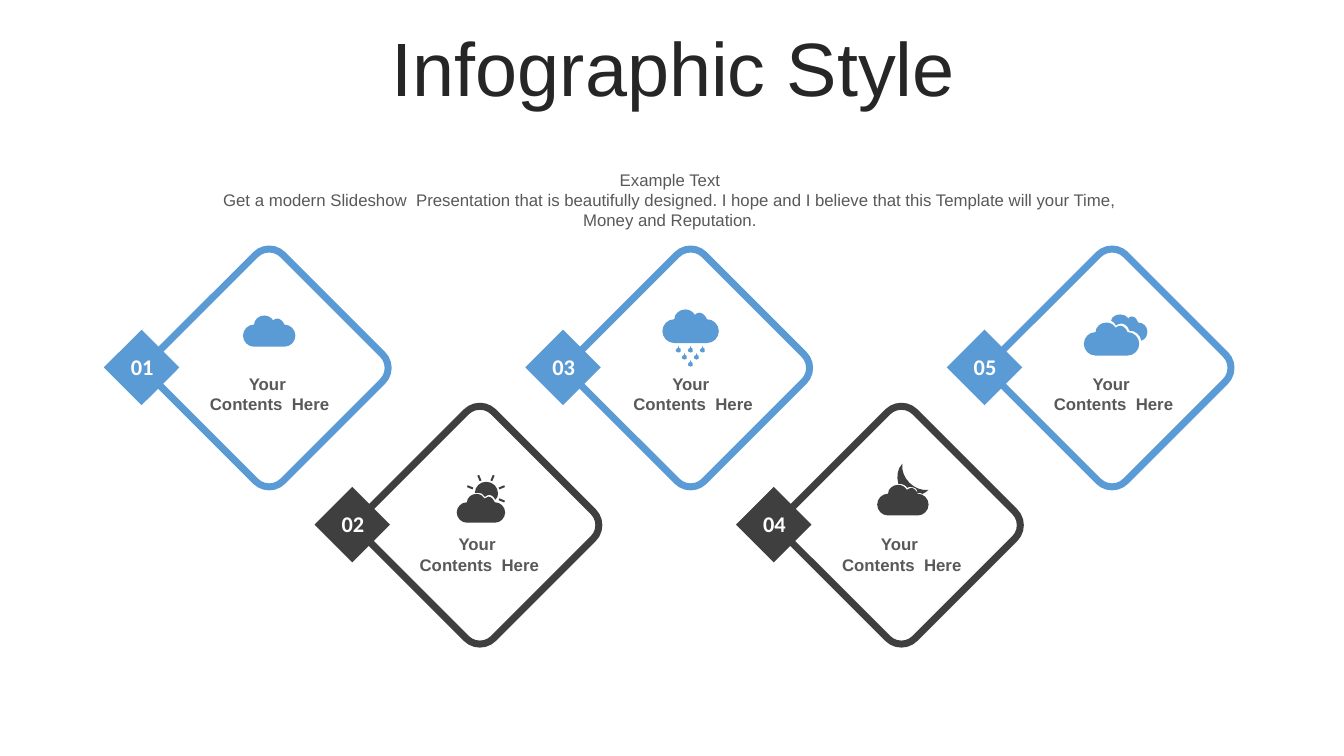
"""Build an infographic slide with five numbered weather diamonds."""
from dataclasses import dataclass
from math import cos, radians, sin

from lxml.etree import SubElement
from pptx import Presentation
from pptx.dml.color import RGBColor
from pptx.enum.shapes import MSO_SHAPE
from pptx.enum.text import MSO_ANCHOR, MSO_AUTO_SIZE, PP_ALIGN
from pptx.oxml.ns import qn
from pptx.shapes.autoshape import Shape
from pptx.slide import Slide
from pptx.util import Emu, Pt

PX = 9144
COLORS = {"blue": "5B9BD5", "dark": "3F3F3F", "white": "FFFFFF",
          "title": "262626", "gray": "595959"}
FORMATS = {
    "title": {"name": "Arial", "size": Pt(54), "bold": False},
    "number": {"name": "Calibri", "size": Pt(16), "bold": True},
    "label": {"name": "Arial", "size": Pt(12), "bold": True},
    "intro": {"name": "Arial", "size": Pt(12), "bold": False},
}
INTRO = ["Example Text",
         "Get a modern Slideshow  Presentation that is beautifully designed. "
         "I hope and I believe that this Template will your Time, "
         "Money and Reputation."]
LABEL = ["Your ", "Contents  Here"]

Point = tuple[float, float]
Path = list[Point]

CLOUD: Path = [
    (21, 0), (25, 0), (28, 2), (30, 5), (31, 4), (32, 3), (34, 3),
    (37, 3), (40, 6), (41, 9), (47, 9), (52, 14), (52, 20),
    (52, 26), (47, 31), (41, 31), (31, 31), (21, 31), (11, 31),
    (5, 31), (0, 26), (0, 20), (0, 14), (5, 9), (11, 9),
    (11, 4), (16, 0), (21, 0)]
DROP: Path = [
    (0, 0), (0, 2), (1, 3), (2, 3), (2, 4), (2, 6), (2, 6),
    (1, 7), (-1, 7), (-2, 6), (-3, 6), (-3, 4), (-2, 3),
    (-1, 3), (0, 2), (0, 0)]
REAR: Path = [
    (1111, 312), (1114, 312), (1117, 313), (1119, 316),
    (1120, 315), (1121, 314), (1122, 314), (1126, 314), (1128, 317),
    (1129, 320), (1134, 320), (1138, 324), (1138, 329),
    (1138, 333), (1136, 337), (1132, 338), (1131, 332), (1126, 328),
    (1120, 328), (1119, 324), (1116, 321), (1112, 321),
    (1110, 321), (1108, 322), (1107, 323), (1106, 321), (1104, 319),
    (1102, 318), (1103, 314), (1107, 312), (1111, 312)]
SUN: Path = [
    (482, 478), (489, 478), (494, 483), (494, 490),
    (494, 492), (493, 495), (491, 496), (491, 494), (488, 491),
    (485, 491), (484, 491), (482, 492), (481, 493), (480, 490),
    (477, 489), (473, 489), (472, 489), (472, 489), (471, 489),
    (471, 483), (476, 478), (482, 478)]
MOON: Path = [
    (895, 460), (894, 467), (897, 474), (902, 479), (907, 484),
    (914, 487), (921, 486), (919, 488), (917, 489), (915, 490),
    (914, 489), (912, 489), (910, 489), (910, 485), (907, 483),
    (904, 483), (902, 483), (901, 483), (900, 484), (898, 481),
    (895, 480), (891, 480), (889, 473), (890, 465), (895, 460)]


@dataclass(frozen=True)
class Box:
    """Place and size in px."""
    x: int
    y: int
    w: int
    h: int


@dataclass(frozen=True)
class Card:
    """One numbered diamond with its label and icon."""
    color: str
    label: Point
    icon: list[Path]


def place(nodes: Path, x: float, y: float, zoom: float = 1) -> Path:
    """Scale and move a unit path."""
    return [(x + zoom * a, y + zoom * b) for a, b in nodes]


def cloud(x: int, y: int, wide: int) -> Path:
    """Return a cloud of the given width."""
    return place(CLOUD, x, y, wide / 52)


def ray(turn: float) -> Path:
    """Return one beam of the sun at an angle in degrees."""
    c, s = cos(radians(turn)), sin(radians(turn))
    ends = ((14, -1), (20, -1), (20, 1), (14, 1))
    return [(482 + c * a - s * b, 490 + s * a + c * b) for a, b in ends]


def paint(shape: Shape, fill: str = "", line: str = "") -> None:
    """Set fill, line and shadow of a shape."""
    shape.shadow.inherit = False
    for part, key in ((shape.fill, fill), (shape.line.fill, line)):
        if key:
            part.solid()
            part.fore_color.rgb = RGBColor.from_string(COLORS[key])
        else:
            part.background()


def frame(box: Box) -> list[Emu]:
    """Give a box in EMU."""
    return [Emu(n * PX) for n in (box.x, box.y, box.w, box.h)]


def write(shape: Shape, lines: list[str], style: str, color: str,
          anchor: MSO_ANCHOR = MSO_ANCHOR.TOP) -> None:
    """Fill a shape with centred lines of text."""
    text = shape.text_frame
    for key, value in {"word_wrap": True, "vertical_anchor": anchor,
                       "auto_size": MSO_AUTO_SIZE.NONE}.items():
        setattr(text, key, value)
    text.text = "\n".join(lines)
    for para in text.paragraphs:
        para.alignment = PP_ALIGN.CENTER
        for run in para.runs:
            for key, value in FORMATS[style].items():
                setattr(run.font, key, value)
            run.font.color.rgb = RGBColor.from_string(COLORS[color])


def bend(shape: Shape) -> None:
    """Turn each outline of more than four nodes into cubic curves."""
    root = next(shape.element.iter(qn("a:path")))
    group = []
    for item in list(root):
        if item.tag == qn("a:lnTo"):
            group.append(item)
            continue
        if len(group) > 3:
            for i in range(0, len(group), 3):
                curve = SubElement(root, qn("a:cubicBezTo"))
                item.addprevious(curve)
                for node in group[i:i + 3]:
                    curve.append(node[0])
                    root.remove(node)
        group = []


def draw(slide: Slide, paths: list[Path], color: str) -> None:
    """Draw an icon as one outline shape."""
    scaled = [[(x * PX, y * PX) for x, y in path] for path in paths]
    pen = slide.shapes.build_freeform(*scaled[0][0])
    for i, path in enumerate(scaled):
        if i:
            pen.move_to(*path[0])
        pen.add_line_segments(path[1:], close=True)
    shape = pen.convert_to_shape()
    bend(shape)
    paint(shape, fill=color)


def add_card(slide: Slide, rank: int, card: Card) -> None:
    """Draw the card at its place in the zigzag row."""
    x, y = 178 + 209 * rank, 276 + 156 * (rank % 2)
    ring = slide.shapes.add_shape(MSO_SHAPE.ROUNDED_RECTANGLE,
                                  *frame(Box(x, y, 178, 178)))
    ring.adjustments[0] = 0.107
    paint(ring, line=card.color)
    ring.line.width = Pt(5)
    badge = slide.shapes.add_shape(MSO_SHAPE.RECTANGLE,
                                   *frame(Box(x - 64, y + 62, 53, 53)))
    paint(badge, fill=card.color)
    ring.rotation = badge.rotation = 315
    number = slide.shapes.add_textbox(*frame(Box(x - 63, y + 69, 52, 37)))
    write(number, [f"{rank + 1:02}"], "number", "white", MSO_ANCHOR.MIDDLE)
    label = slide.shapes.add_textbox(*frame(Box(*card.label, 163, 50)))
    write(label, LABEL, "label", "gray")
    draw(slide, card.icon, card.color)


def main() -> None:
    """Build and save the slide."""
    deck = Presentation()
    deck.slide_width, deck.slide_height = Emu(1333 * PX), Emu(750 * PX)
    slide = deck.slides.add_slide(deck.slide_layouts[5])
    title = slide.shapes.title
    title.left, title.top, title.width, title.height = frame(
        Box(35, 32, 1266, 79))
    write(title, ["Infographic Style"], "title", "title", MSO_ANCHOR.MIDDLE)
    title.text_frame.paragraphs[0].line_spacing = 0.9
    intro = slide.shapes.add_textbox(*frame(Box(186, 163, 957, 71)))
    write(intro, INTRO, "intro", "gray")
    rain = [place(DROP, 685 + 6 * (2 * i - 2 + row), 343 + 7 * row)
            for row in range(3) for i in range(3 - row)]
    beams = [ray(22.5 - 45 * i) for i in range(5)]
    cards = [
        Card("blue", (186, 366), [cloud(241, 313, 52)]),
        Card("dark", (394, 525), [cloud(453, 490, 48), SUN, *beams]),
        Card("blue", (606, 366), [cloud(657, 307, 56), *rain]),
        Card("dark", (813, 525), [cloud(870, 481, 51), MOON]),
        Card("blue", (1023, 366), [cloud(1075, 320, 55), REAR]),
    ]
    for rank, card in enumerate(cards):
        add_card(slide, rank, card)
    deck.save("out.pptx")


if __name__ == "__main__":
    main()
